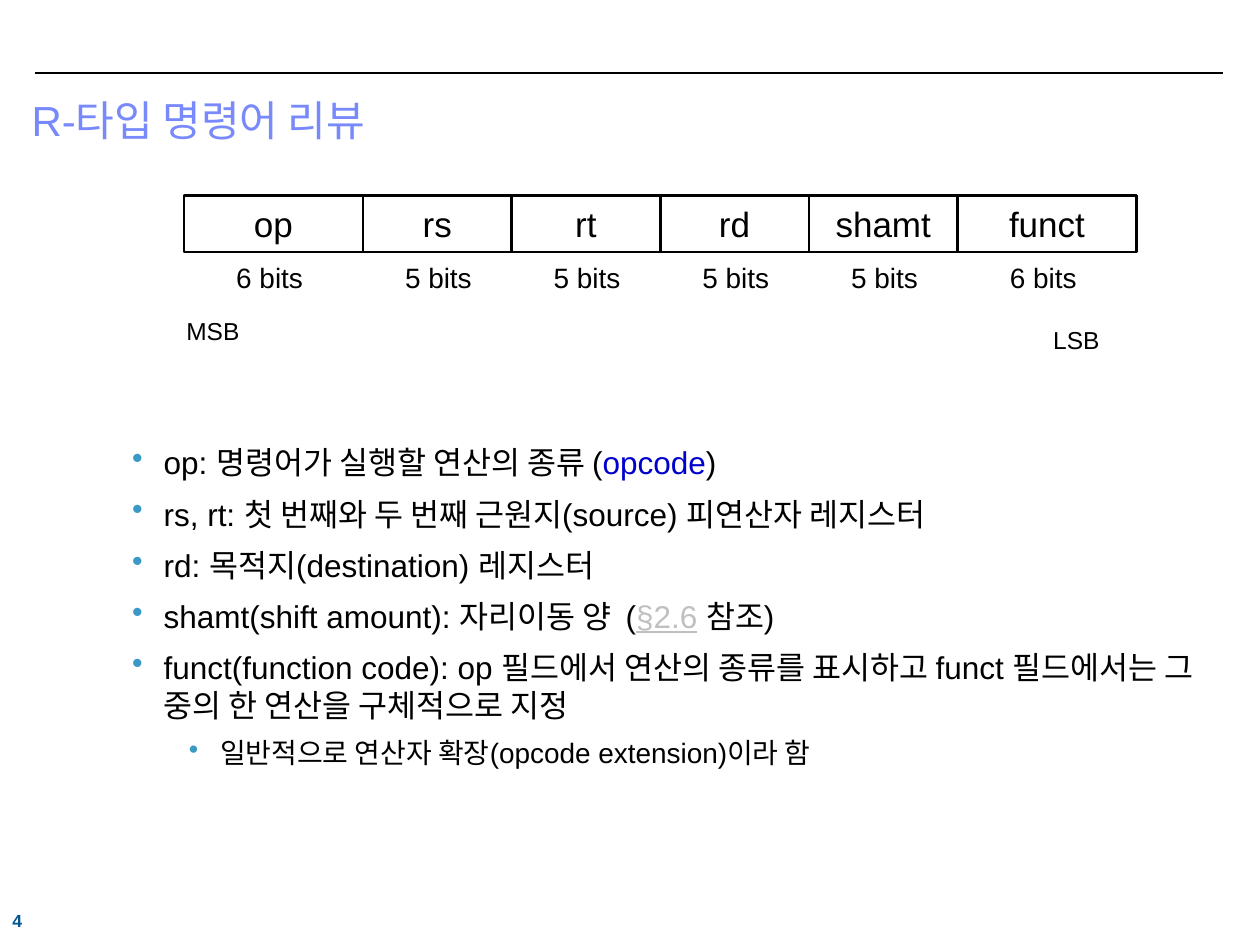
from dataclasses import dataclass

from lxml import etree
from pptx import Presentation
from pptx.dml.color import RGBColor
from pptx.enum.shapes import MSO_CONNECTOR, MSO_SHAPE
from pptx.enum.text import MSO_ANCHOR, PP_ALIGN
from pptx.oxml.ns import qn
from pptx.util import Inches, Pt

RECTANGLE = MSO_SHAPE.RECTANGLE
STRAIGHT = MSO_CONNECTOR.STRAIGHT
LEFT, CENTER = PP_ALIGN.LEFT, PP_ALIGN.CENTER
TOP, MIDDLE = MSO_ANCHOR.TOP, MSO_ANCHOR.MIDDLE


@dataclass(frozen=True)
class Theme:
    font: str = "Arial"
    ink: str = "000000"
    title: str = "7889FB"
    page: str = "005693"
    bullet: str = "3B9AC5"
    keyword: str = "0000CC"
    reference: str = "C0C0C0"
    title_size: float = 24
    field_size: float = 20
    body_size: float = 18
    bits_size: float = 16
    detail_size: float = 16
    end_size: float = 14
    page_size: float = 10


@dataclass(frozen=True)
class Field:
    name: str
    bits: int


@dataclass(frozen=True)
class Span:
    text: str
    color: str | None = None
    underline: bool = False


@dataclass(frozen=True)
class Bullet:
    spans: tuple[Span, ...]
    level: int = 1


THEME = Theme()
FIELDS = (Field("op", 6), Field("rs", 5), Field("rt", 5),
          Field("rd", 5), Field("shamt", 5), Field("funct", 6))
FIELD_WIDTH = {5: 1.18, 6: 1.42}
BITS_SHIFT = {5: 0.01, 6: -0.03}
FIELDS_LEFT, FIELDS_TOP, FIELD_HEIGHT = 1.46, 1.55, 0.45
BITS_TOP, BITS_WIDTH, BITS_HEIGHT = 2.02, 0.73, 0.37
INDENT = {1: 0.67, 2: 1.12}
HANGING = 0.25
BULLETS = (
    Bullet((Span("op: 명령어가 실행할 연산의 종류 ("),
            Span("opcode", THEME.keyword), Span(")"))),
    Bullet((Span("rs, rt: 첫 번째와 두 번째 근원지(source) 피연산자 레지스터"),)),
    Bullet((Span("rd: 목적지(destination) 레지스터"),)),
    Bullet((Span("shamt(shift amount): 자리이동 양  ("),
            Span("§2.6", THEME.reference, True), Span(" 참조)"))),
    Bullet((Span("funct(function code): op 필드에서 연산의 종류를 표시하고 "
                 "funct 필드에서는 그 중의 한 연산을 구체적으로 지정"),)),
    Bullet((Span("일반적으로 연산자 확장(opcode extension)이라 함"),), 2),
)


def set_font(font, size: float, color: str, bold: bool = False) -> None:
    font.name = THEME.font
    font.size = Pt(size)
    font.bold = bold
    font.color.rgb = RGBColor.from_string(color)


def add_label(slide, text: str, box: tuple[float, float, float, float], size: float,
              color: str = THEME.ink, align=LEFT, bold: bool = False,
              inset: bool = True, wrap: bool = True) -> None:
    frame = slide.shapes.add_textbox(*map(Inches, box)).text_frame
    frame.word_wrap = wrap
    frame.vertical_anchor = TOP
    if not inset:
        frame.margin_left = frame.margin_right = 0
        frame.margin_top = frame.margin_bottom = 0
    paragraph = frame.paragraphs[0]
    paragraph.text = text
    paragraph.alignment = align
    set_font(paragraph.font, size, color, bold)


def add_field(slide, field: Field, left: float) -> None:
    width = FIELD_WIDTH[field.bits]
    cell = slide.shapes.add_shape(RECTANGLE, Inches(left), Inches(FIELDS_TOP),
                                  Inches(width), Inches(FIELD_HEIGHT))
    cell.shadow.inherit = False
    cell.fill.background()
    cell.line.color.rgb = RGBColor.from_string(THEME.ink)
    cell.line.width = Pt(1.5)
    cell.text_frame.vertical_anchor = MIDDLE
    paragraph = cell.text_frame.paragraphs[0]
    paragraph.text = field.name
    paragraph.alignment = CENTER
    set_font(paragraph.font, THEME.field_size, THEME.ink)

    bits_left = left + (width - BITS_WIDTH) / 2 + BITS_SHIFT[field.bits]
    add_label(slide, f"{field.bits} bits", (bits_left, BITS_TOP, BITS_WIDTH, BITS_HEIGHT),
              THEME.bits_size, align=CENTER, wrap=False)


def add_bullet(paragraph, bullet: Bullet) -> None:
    detail = bullet.level == 2
    paragraph.level = bullet.level
    paragraph.space_before = Pt(4 if detail else 4.8)
    paragraph.space_after = Pt(0 if detail else 2.9)
    set_font(paragraph.font, THEME.detail_size if detail else THEME.body_size, THEME.ink)
    for span in bullet.spans:
        run = paragraph.add_run()
        run.text = span.text
        if span.color:
            run.font.color.rgb = RGBColor.from_string(span.color)
        if span.underline:
            run.font.underline = True

    properties = paragraph._p.get_or_add_pPr()
    properties.set("marL", str(Inches(INDENT[bullet.level])))
    properties.set("indent", str(Inches(-HANGING)))
    marker_color = etree.Element(qn("a:buClr"))
    etree.SubElement(marker_color, qn("a:srgbClr"), val=THEME.bullet)
    marker = etree.Element(qn("a:buChar"), char="•")
    defaults = properties.find(qn("a:defRPr"))
    defaults.addprevious(marker_color)
    defaults.addprevious(marker)


def add_explanation(slide) -> None:
    frame = slide.shapes.add_textbox(Inches(0.53), Inches(3.47),
                                     Inches(9.42), Inches(3.83)).text_frame
    frame.word_wrap = True
    for index, bullet in enumerate(BULLETS):
        add_bullet(frame.add_paragraph() if index else frame.paragraphs[0], bullet)


def add_rule(slide) -> None:
    rule = slide.shapes.add_connector(STRAIGHT, Inches(0.28), Inches(0.58),
                                      Inches(9.71), Inches(0.58))
    rule.line.color.rgb = RGBColor.from_string(THEME.ink)
    rule.line.width = Pt(0.75)
    etree.SubElement(rule._element.spPr, qn("a:effectLst"))


def main() -> None:
    deck = Presentation()
    deck.slide_width, deck.slide_height = Inches(10), Inches(7.5)
    slide = deck.slides.add_slide(deck.slide_layouts[6])

    add_rule(slide)
    add_label(slide, "R-타입 명령어 리뷰", (0.25, 0.75, 9.42, 0.83),
              THEME.title_size, THEME.title, inset=False)
    add_label(slide, "4", (0, 7.17, 1.83, 0.3), THEME.page_size, THEME.page, bold=True)

    left = FIELDS_LEFT
    for field in FIELDS:
        add_field(slide, field, left)
        left += FIELD_WIDTH[field.bits]

    add_label(slide, "MSB", (1.38, 2.46, 0.78, 0.34), THEME.end_size)
    add_label(slide, "LSB", (8.26, 2.53, 0.78, 0.34), THEME.end_size)
    add_explanation(slide)
    deck.save("out.pptx")


if __name__ == "__main__":
    main()
